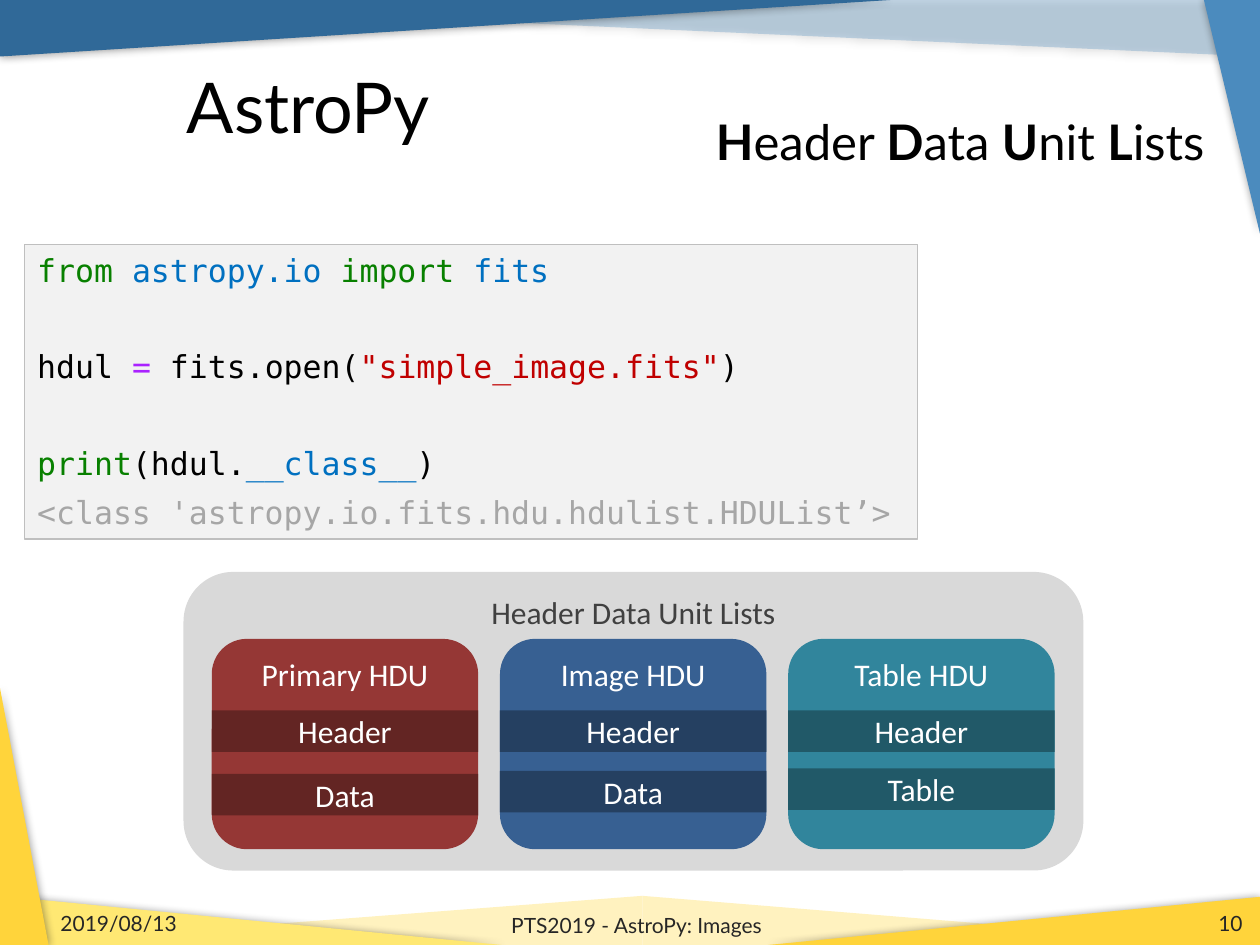
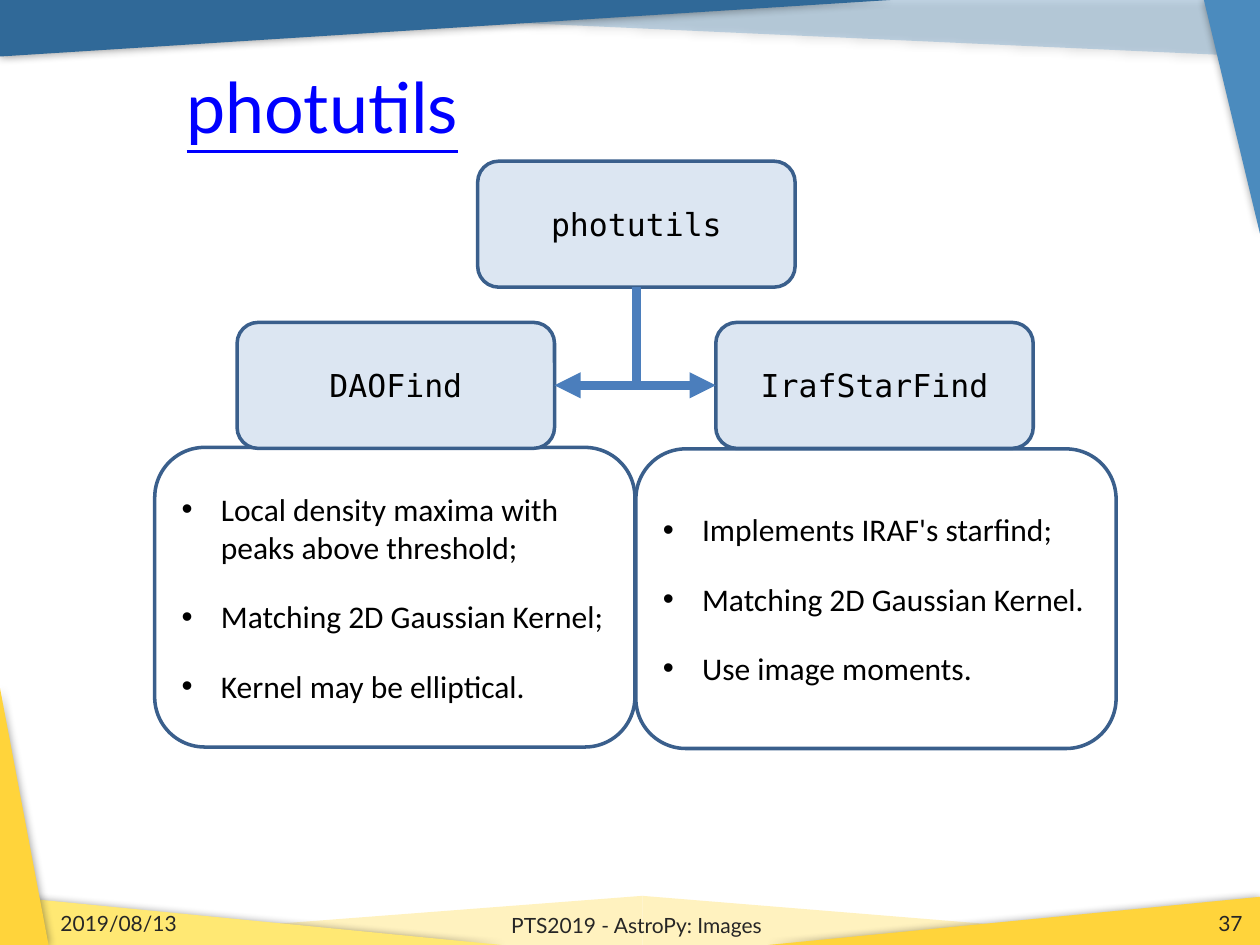
from dataclasses import dataclass
from typing import Any, Optional

import lxml.etree
import pptx
import pptx.dml.color
import pptx.enum.shapes
import pptx.enum.text
import pptx.oxml.ns
import pptx.util

Cm = pptx.util.Cm
Pt = pptx.util.Pt
RGBColor = pptx.dml.color.RGBColor
Align = pptx.enum.text.PP_ALIGN
Anchor = pptx.enum.text.MSO_ANCHOR
Kind = pptx.enum.shapes.MSO_SHAPE
Link = pptx.enum.shapes.MSO_CONNECTOR
qn = pptx.oxml.ns.qn

WIDE, HIGH = 25.4, 19.05
LATO, SANS, MONO = "Lato", "Calibri", "DejaVu Sans Mono"

BLACK = RGBColor(0x00, 0x00, 0x00)
WHITE = RGBColor(0xFF, 0xFF, 0xFF)
INK = RGBColor(0x26, 0x26, 0x26)
SLATE = RGBColor(0x40, 0x40, 0x40)
GREY = RGBColor(0xD9, 0xD9, 0xD9)
PALE = RGBColor(0xF2, 0xF2, 0xF2)
EDGE = RGBColor(0xBF, 0xBF, 0xBF)
NAVY = RGBColor(0x30, 0x69, 0x98)
SKY = RGBColor(0x4B, 0x8B, 0xBE)
CREAM = RGBColor(0xFF, 0xF2, 0xBF)
LEMON = RGBColor(0xFF, 0xE8, 0x73)
GOLD = RGBColor(0xFF, 0xD4, 0x3B)
URL = RGBColor(0x00, 0x00, 0xFF)
ICE = RGBColor(0xDC, 0xE6, 0xF2)
RIM = RGBColor(0x3A, 0x5F, 0x8C)
ARROW = RGBColor(0x4B, 0x7E, 0xBC)
GREEN = RGBColor(0x08, 0x80, 0x00)
BLUE = RGBColor(0x00, 0x70, 0xC0)
PLUM = RGBColor(0xAA, 0x22, 0xFF)
RED = RGBColor(0xC0, 0x00, 0x00)
ASH = RGBColor(0xA6, 0xA6, 0xA6)


@dataclass(frozen=True)
class Box:
    left: float
    top: float
    width: float
    height: float

    def cm(self) -> tuple:
        return Cm(self.left), Cm(self.top), Cm(self.width), Cm(self.height)


@dataclass(frozen=True)
class Style:
    font: str = SANS
    size: float = 18
    color: RGBColor = WHITE
    align: Any = Align.CENTER
    anchor: Any = Anchor.MIDDLE


@dataclass(frozen=True)
class Band:
    color: RGBColor
    points: tuple
    shadow: bool = True
    alpha: int = 100


@dataclass(frozen=True)
class Unit:
    name: str
    fill: RGBColor
    dark: RGBColor
    body: str
    top: float


@dataclass(frozen=True)
class Finder:
    name: str
    left: float
    side: int
    notes: Box
    points: tuple


BANDS = (
    Band(SKY, ((0.33, 0), (25.35, 0), (25.35, 1.14)), alpha=30),
    Band(CREAM, ((12.95, 18.06), (12.95, HIGH), (25.1, HIGH)), shadow=False),
    Band(CREAM, ((0, HIGH), (12.95, 18.06), (12.95, HIGH)), shadow=False),
    Band(LEMON, ((0, 18.06), (0, HIGH), (10.11, HIGH))),
    Band(GOLD, ((15.49, HIGH), (WIDE, 18.08), (WIDE, HIGH))),
    Band(NAVY, ((0, 0), (17.96, 0), (0, 1.14))),
    Band(SKY, ((24.27, 0), (WIDE, 0), (WIDE, 4.71))),
    Band(GOLD, ((0, 13.87), (0, HIGH), (0.98, HIGH))),
)

# Each line holds its coloured pieces and the space after it, in points.
CODE = (
    ((("from ", GREEN), ("astropy.io ", BLUE), ("import ", GREEN), ("fits", BLUE)), 33.7),
    ((("hdul ", BLACK), ("= ", PLUM), ("fits.open(", BLACK),
      ('"simple_image.fits"', RED), (")", BLACK)), 33.7),
    ((("print", GREEN), ("(hdul.", BLACK), ("__class__", BLUE), (")", BLACK)), 6),
    ((("<class 'astropy.io.fits.hdu.hdulist.HDUList’>", ASH),), 6),
)

UNITS = (
    Unit("Primary HDU", RGBColor(0x95, 0x37, 0x35), RGBColor(0x63, 0x25, 0x23), "Data", 15.6),
    Unit("Image HDU", RGBColor(0x37, 0x60, 0x92), RGBColor(0x25, 0x40, 0x61), "Data", 15.54),
    Unit("Table HDU", RGBColor(0x31, 0x85, 0x9C), RGBColor(0x21, 0x59, 0x68), "Table", 15.49),
)

FINDERS = (
    Finder("DAOFind", 4.78, 3, Box(3.12, 9.02, 9.68, 6.04), (
        "Local density maxima with peaks above threshold;",
        "Matching 2D Gaussian Kernel;",
        "Kernel may be elliptical.")),
    Finder("IrafStarFind", 14.43, 1, Box(12.82, 9.05, 9.68, 6.04), (
        "Implements IRAF's starfind;",
        "Matching 2D Gaussian Kernel.",
        "Use image moments.")),
)


def child(node: Any, tag: str, **attrs: Any) -> Any:
    return lxml.etree.SubElement(node, qn(tag), {k: str(v) for k, v in attrs.items()})


def dress(font: Any, style: Style) -> None:
    font.name, font.size = style.font, Pt(style.size)
    font.color.rgb = style.color


def write(shape: Any, text: str, style: Style) -> None:
    frame = shape.text_frame
    frame.word_wrap = True
    frame.vertical_anchor = style.anchor
    frame.text = text
    for para in frame.paragraphs:
        para.alignment = style.align
        for run in para.runs:
            dress(run.font, style)


def label(slide: Any, box: Box, text: str, style: Style) -> Any:
    shape = slide.shapes.add_textbox(*box.cm())
    write(shape, text, style)
    return shape


def block(slide: Any, kind: Any, box: Box, fill: RGBColor,
          rim: Optional[RGBColor] = None, weight: float = 2) -> Any:
    shape = slide.shapes.add_shape(kind, *box.cm())
    shape.shadow.inherit = False
    shape.fill.solid()
    shape.fill.fore_color.rgb = fill
    if rim is None:
        shape.line.fill.background()
    else:
        shape.line.color.rgb = rim
        shape.line.width = Pt(weight)
    return shape


def draw_band(slide: Any, band: Band) -> None:
    first, *rest = [(Cm(x), Cm(y)) for x, y in band.points]
    outline = slide.shapes.build_freeform(*first)
    outline.add_line_segments(rest)
    shape = outline.convert_to_shape()
    shape.shadow.inherit = False
    shape.line.fill.background()
    shape.fill.solid()
    shape.fill.fore_color.rgb = band.color
    props = shape._element.spPr
    if band.alpha < 100:
        tint = props.find(qn("a:solidFill")).find(qn("a:srgbClr"))
        child(tint, "a:alpha", val=band.alpha * 1000)
    if band.shadow:
        glow = child(props.find(qn("a:effectLst")), "a:outerShdw", blurRad=int(Pt(5)),
                     dist=0, dir=0, algn="ctr", rotWithShape=0)
        child(child(glow, "a:srgbClr", val=BLACK), "a:alpha", val=40000)


def start(deck: Any, title: str, page: int, color: RGBColor = BLACK) -> Any:
    """Add a slide with the shared bands, title and footer."""
    slide = deck.slides.add_slide(deck.slide_layouts[5])
    for band in BANDS:
        draw_band(slide, band)
    head = slide.shapes.title
    head.left, head.top, head.width, head.height = Box(3.51, 1.12, 20.62, 2.01).cm()
    write(head, title, Style(LATO, 40, color, Align.LEFT))
    feet = (
        (Box(0.97, 18.31, 5.92, 0.58), "2019/08/13", Align.LEFT),
        (Box(8.81, 18.14, 8.05, 1.02), "PTS2019 - AstroPy: Images", Align.CENTER),
        (Box(19.38, 18.31, 5.92, 0.61), str(page), Align.RIGHT),
    )
    for box, text, align in feet:
        label(slide, box, text, Style(LATO, 12, INK, align))
    return slide


def draw_code(slide: Any) -> None:
    shape = block(slide, Kind.RECTANGLE, Box(0.5, 4.93, 18, 5.94), PALE, EDGE, 0.75)
    frame = shape.text_frame
    frame.word_wrap = True
    frame.vertical_anchor = Anchor.TOP
    for i, (line, gap) in enumerate(CODE):
        para = frame.add_paragraph() if i else frame.paragraphs[0]
        para.alignment = Align.LEFT
        para.space_after = Pt(gap)
        for text, color in line:
            run = para.add_run()
            run.text = text
            dress(run.font, Style(MONO, color=color))


def draw_unit(slide: Any, unit: Unit, left: float) -> None:
    width = 5.37
    card = block(slide, Kind.ROUNDED_RECTANGLE, Box(left, 12.88, width, 4.24), unit.fill)
    write(card, unit.name, Style(anchor=Anchor.TOP))
    for text, top in (("Header", 14.32), (unit.body, unit.top)):
        bar = block(slide, Kind.RECTANGLE, Box(left, top, width, 0.84), unit.dark)
        write(bar, text, Style())


def build_lists(deck: Any) -> None:
    slide = start(deck, "AstroPy", 10)
    draw_code(slide)
    style = Style(LATO, 28, BLACK, Align.RIGHT, Anchor.BOTTOM)
    words = label(slide, Box(3.91, 1.55, 20.62, 2.01), "", style)
    para = words.text_frame.paragraphs[0]
    for word in ("Header ", "Data ", "Unit ", "Lists"):
        for text, bold in ((word[0], True), (word[1:], False)):
            run = para.add_run()
            run.text = text
            dress(run.font, style)
            run.font.bold = bold
    panel = block(slide, Kind.ROUNDED_RECTANGLE, Box(3.7, 11.53, 18.14, 6.02), GREY)
    write(panel, "Header Data Unit Lists", Style(color=SLATE, anchor=Anchor.TOP))
    for i, unit in enumerate(UNITS):
        draw_unit(slide, unit, 4.27 + 5.81 * i)


def draw_notes(slide: Any, finder: Finder) -> None:
    shape = block(slide, Kind.ROUNDED_RECTANGLE, finder.notes, WHITE, RIM)
    write(shape, "\n".join(finder.points), Style(color=BLACK, align=Align.LEFT))
    for para in shape.text_frame.paragraphs:
        para.space_after = Pt(18)
        props = para._p.get_or_add_pPr()
        props.set("marL", str(int(Cm(0.79))))
        props.set("indent", str(int(Cm(-0.79))))
        child(props, "a:buFont", typeface="Arial")
        child(props, "a:buChar", char="•")


def draw_node(slide: Any, name: str, left: float, top: float) -> Any:
    node = block(slide, Kind.ROUNDED_RECTANGLE, Box(left, top, 6.4, 2.54), ICE, RIM)
    write(node, name, Style(MONO, color=BLACK))
    return node


def join(slide: Any, node: Any, side: int, root: Any) -> None:
    """Draw a bent arrow that points at one side of node and leaves root below."""
    link = slide.shapes.add_connector(Link.ELBOW, 0, 0, 0, 0)
    link.begin_connect(node, side)
    link.end_connect(root, 2)
    link.line.color.rgb = ARROW
    link.line.width = Pt(5)
    props = link._element.spPr
    props.find(qn("a:prstGeom")).set("prst", "bentConnector2")
    child(props.find(qn("a:ln")), "a:headEnd", type="triangle")
    child(props, "a:effectLst")


def build_tree(deck: Any) -> None:
    slide = start(deck, "photutils", 37, URL)
    slide.shapes.title.text_frame.paragraphs[0].runs[0].font.underline = True
    root = draw_node(slide, "photutils", 9.63, 3.25)
    for finder in FINDERS:
        draw_notes(slide, finder)
        node = draw_node(slide, finder.name, finder.left, 6.5)
        join(slide, node, finder.side, root)


def main() -> None:
    deck = pptx.Presentation()
    deck.slide_width, deck.slide_height = Cm(WIDE), Cm(HIGH)
    build_lists(deck)
    build_tree(deck)
    deck.save("out.pptx")


if __name__ == "__main__":
    main()
